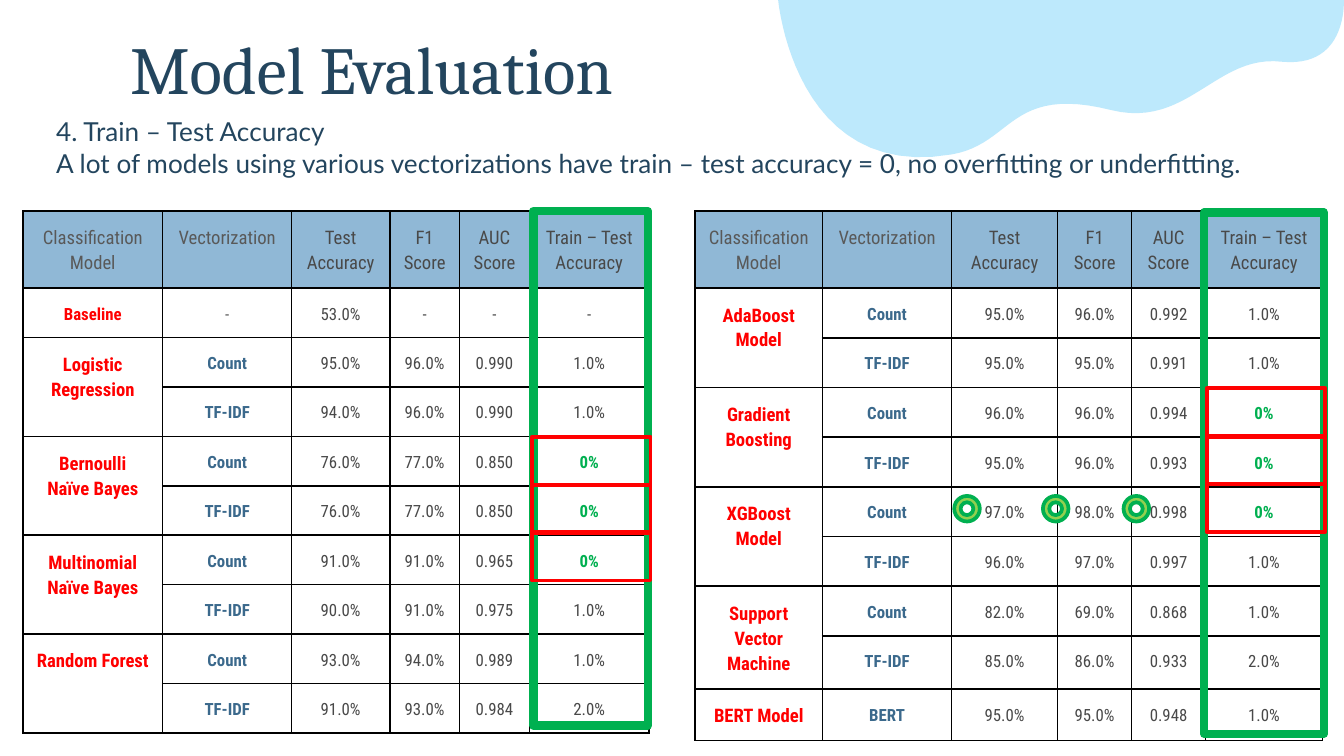
from lxml.etree import SubElement
from pptx import Presentation
from pptx.dml.color import RGBColor as RGB
from pptx.enum.shapes import MSO_SHAPE as Shape
from pptx.enum.text import PP_ALIGN as Align
from pptx.oxml.ns import qn
from pptx.util import Inches, Pt

COLORS = {
    "blob": "BDE9FC", "navy": "23455E", "head": "90B8D6", "gray": "595959",
    "dark": "494949", "red": "FF0000", "blue": "3B698C", "green": "00B050",
    "lime": "92D050", "black": "000000",
}
HEADS = ["Classification Model", "Vectorization", "Test Accuracy",
         "F1 Score", "AUC Score", "Train – Test Accuracy"]
# Each model: name, then rows of vectorization, test, F1, AUC and gap
LEFT = [
    ("Baseline", ["- 53.0% - - -"]),
    ("Logistic Regression", ["Count 95.0% 96.0% 0.990 1.0%",
                             "TF-IDF 94.0% 96.0% 0.990 1.0%"]),
    ("Bernoulli Naïve Bayes", ["Count 76.0% 77.0% 0.850 0%",
                               "TF-IDF 76.0% 77.0% 0.850 0%"]),
    ("Multinomial Naïve Bayes", ["Count 91.0% 91.0% 0.965 0%",
                                 "TF-IDF 90.0% 91.0% 0.975 1.0%"]),
    ("Random Forest", ["Count 93.0% 94.0% 0.989 1.0%",
                       "TF-IDF 91.0% 93.0% 0.984 2.0%"]),
]
RIGHT = [
    ("AdaBoost Model", ["Count 95.0% 96.0% 0.992 1.0%",
                        "TF-IDF 95.0% 95.0% 0.991 1.0%"]),
    ("Gradient Boosting", ["Count 96.0% 96.0% 0.994 0%",
                           "TF-IDF 95.0% 96.0% 0.993 0%"]),
    ("XGBoost Model", ["Count 97.0% 98.0% 0.998 0%",
                       "TF-IDF 96.0% 97.0% 0.997 1.0%"]),
    ("Support Vector Machine", ["Count 82.0% 69.0% 0.868 1.0%",
                                "TF-IDF 85.0% 86.0% 0.933 2.0%"]),
    ("BERT Model", ["BERT 95.0% 95.0% 0.948 1.0%"]),
]


def color(name):
    return RGB.from_string(COLORS[name])


def style(par, font, size, hue, bold=False):
    for run in par.runs:
        run.font.name, run.font.size = font, Pt(size)
        run.font.bold, run.font.color.rgb = bold, color(hue)


def add_blob(slide, x, y):
    """Wavy patch hanging from the top edge, made of sampled Bézier curves."""
    start = (0, 0)
    curves = [
        ((0, 0), (0.12, 1.35), (1.29, 1.15)),
        ((1.75, 1.07), (1.72, 0.63), (2.48, 0.82)),
        ((3.05, 0.96), (3.26, 0.4), (3.75, 0.46)),
        ((4.18, 0.5), (4.21, 0.12), (4.21, 0)),
    ]
    points, steps = [], 24
    for a, b, end in curves:
        for i in range(1, steps + 1):
            t = i / steps
            u = 1 - t
            points.append(tuple(
                Inches(o + u**3 * p + 3 * u * u * t * q + 3 * u * t * t * r + t**3 * s)
                for o, p, q, r, s in zip((x, y), start, a, b, end)))
        start = end
    edge = slide.shapes.build_freeform(Inches(x), Inches(y), scale=1.0)
    edge.add_line_segments(points, close=True)
    blob = edge.convert_to_shape()
    blob.shadow.inherit = False
    blob.fill.solid()
    blob.fill.fore_color.rgb = color("blob")
    blob.line.fill.background()


def add_text(slide, box, text, font, size, indent=0, spacing=None):
    frame = slide.shapes.add_textbox(*map(Inches, box)).text_frame
    frame.word_wrap = True
    frame.margin_left = frame.margin_right = Inches(0.1)
    frame.margin_top = frame.margin_bottom = Inches(0.1)
    frame.text = text
    for par in frame.paragraphs:
        style(par, font, size, "navy")
        if spacing:
            par.line_spacing = spacing
        if indent:
            props = par._p.get_or_add_pPr()
            props.set("marL", str(Inches(indent)))
            props.set("indent", "0")


def set_border(cell):
    props = cell._tc.get_or_add_tcPr()
    for i, side in enumerate(("lnL", "lnR", "lnT", "lnB")):
        line = props.makeelement(qn(f"a:{side}"), {"w": str(Pt(1))})
        fill = SubElement(line, qn("a:solidFill"))
        SubElement(fill, qn("a:srgbClr"), val=COLORS["black"])
        props.insert(i, line)


def look(row, col, text):
    """Size, colour and weight of a cell's text."""
    if row == 0:
        return 10, "gray" if col < 2 else "dark", False
    if col == 0:
        return 9 if text == "Baseline" else 10, "red", True
    if col == 1:
        return (9, "gray", False) if text == "-" else (9, "blue", True)
    return (9, "green", True) if text == "0%" else (9, "dark", False)


def add_scores(slide, x, y, widths, step, models):
    rows, merges = [HEADS], []
    for name, lines in models:
        if len(lines) > 1:
            merges.append((len(rows), len(rows) + len(lines) - 1))
        for i, line in enumerate(lines):
            rows.append(["" if i else name] + line.split())
    heights = [0.57] + [step] * (len(rows) - 1)
    table = slide.shapes.add_table(
        len(rows), len(widths), Inches(x), Inches(y),
        Inches(sum(widths)), Inches(sum(heights))).table
    table.first_row = table.horz_banding = False
    for col, width in zip(table.columns, widths):
        col.width = Inches(width)
    for r, (row, height) in enumerate(zip(rows, heights)):
        table.rows[r].height = Inches(height)
        for c, text in enumerate(row):
            cell = table.cell(r, c)
            cell.margin_left = cell.margin_right = cell.margin_top = Inches(0.1)
            cell.margin_bottom = Inches(0.09)
            if r:
                cell.fill.background()
            else:
                cell.fill.solid()
                cell.fill.fore_color.rgb = color("head")
            set_border(cell)
            cell.text = text
            par = cell.text_frame.paragraphs[0]
            par.alignment, par.line_spacing = Align.CENTER, 1.15
            style(par, "Roboto Condensed", *look(r, c, text))
    for top, last in merges:
        table.cell(top, 0).merge(table.cell(last, 0))


def add_mark(slide, kind, box, line, weight, fill=None):
    mark = slide.shapes.add_shape(kind, *map(Inches, box))
    mark.shadow.inherit = False
    mark.line.color.rgb, mark.line.width = color(line), Pt(weight)
    if fill:
        mark.fill.solid()
        mark.fill.fore_color.rgb = color(fill)
    else:
        mark.fill.background()


def add_frames(slide, box, x, y):
    """Green frame round the last column, red frames round three zero gaps."""
    add_mark(slide, Shape.RECTANGLE, box, "green", 4.5)
    for i in range(3):
        add_mark(slide, Shape.RECTANGLE, (x, y + i * 0.71 / 2, 0.88, 0.36), "red", 2)


def main():
    deck = Presentation()
    deck.slide_width = Inches(10)
    deck.slide_height = deck.slide_width * 9 // 16
    slide = deck.slides.add_slide(deck.slide_layouts[6])
    add_blob(slide, 5.79, 0)
    add_text(slide, (0.87, 0.22, 4.67, 0.53), "Model Evaluation",
             "Cambria", 36, spacing=0.8)
    add_scores(slide, 0.17, 1.57, [1.04, 0.96, 0.73, 0.52, 0.52, 0.89],
               3.31 / 9, LEFT)
    add_scores(slide, 5.17, 1.57, [0.95, 0.96, 0.79, 0.55, 0.55, 0.87], 0.37, RIGHT)
    add_text(slide, (0.16, 0.76, 9.84, 1.5),
             "4. Train – Test Accuracy\nA lot of models using various vectorizations "
             "have train – test accuracy = 0, no overfitting or underfitting.",
             "Lato", 14, indent=0.16)
    add_frames(slide, (3.97, 1.57, 0.85, 3.83), 3.96, 3.25)
    add_frames(slide, (8.96, 1.58, 0.89, 3.88), 8.98, 2.89)
    for x in (7.1, 7.76, 8.36):
        add_mark(slide, Shape.DONUT, (x, 3.69, 0.19, 0.19), "green", 2, "lime")
    deck.save("out.pptx")


if __name__ == "__main__":
    main()
